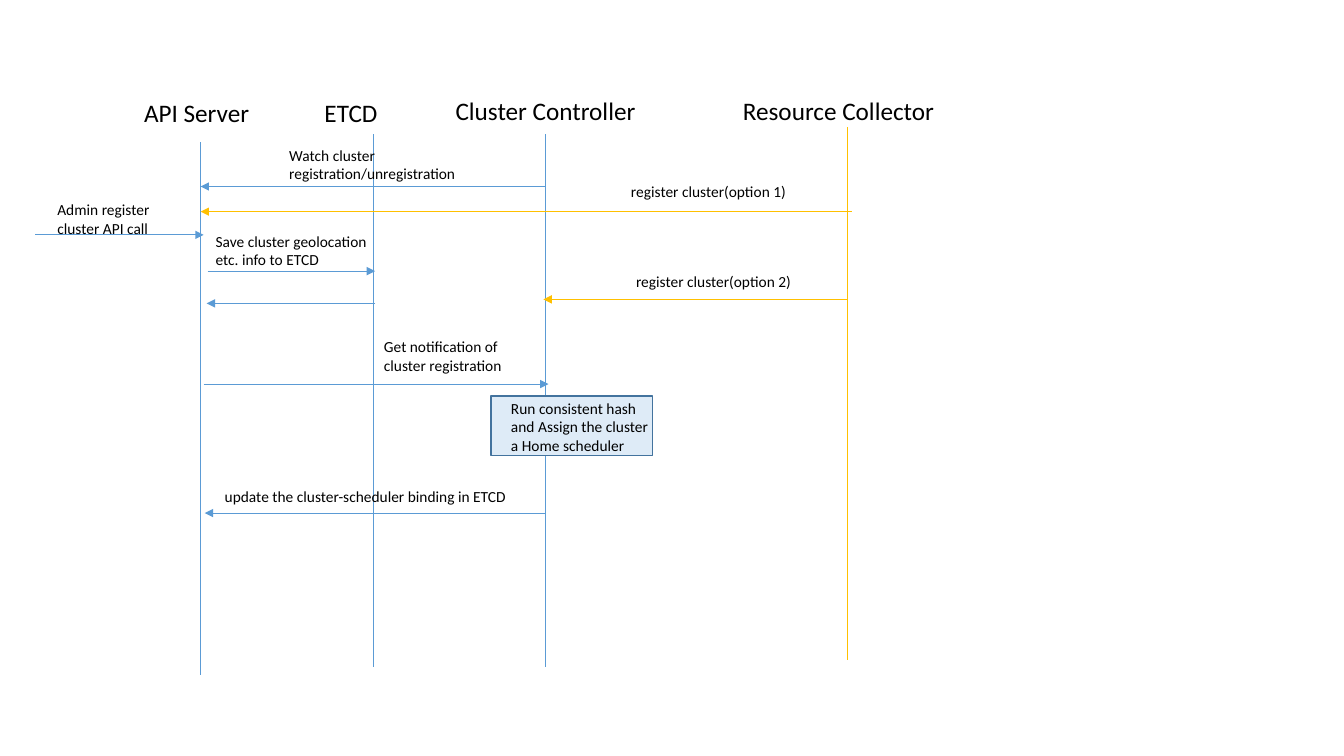
"""Build the cluster registration sequence diagram slide."""
from lxml import etree
from pptx import Presentation
from pptx.dml.color import RGBColor
from pptx.enum.shapes import MSO_CONNECTOR, MSO_SHAPE
from pptx.enum.text import MSO_AUTO_SIZE
from pptx.oxml.ns import qn
from pptx.util import Pt

STRAIGHT = MSO_CONNECTOR.STRAIGHT
RECTANGLE = MSO_SHAPE.RECTANGLE
FIT_SHAPE = MSO_AUTO_SIZE.SHAPE_TO_FIT_TEXT

BLUE = RGBColor(0x5B, 0x9B, 0xD5)
GOLD = RGBColor(0xFF, 0xC0, 0x00)
PALE_BLUE = RGBColor(0xDE, 0xEB, 0xF7)
DARK_BLUE = RGBColor(0x43, 0x73, 0x9E)
BLACK = RGBColor(0, 0, 0)

FONT = "Calibri"
EMU_PER_PX = 9144
PAGE_SIZE = (1333, 750)
LIFELINE_LENGTH = 529
TITLE_SIZE, LABEL_SIZE = 18, 11
TITLE_HEIGHT = 40
LABEL_HEIGHTS = {1: 29, 2: 47, 3: 66}

# name, title left, title top, title width, lifeline x, lifeline top, colour
PARTICIPANTS = [
    ("API Server", 133, 92, 155, 199, 141, BLUE),
    ("ETCD", 312, 92, 77, 370, 133, BLUE),
    ("Cluster Controller", 442, 90, 224, 541, 133, BLUE),
    ("Resource Collector", 727, 90, 224, 840, 126, GOLD),
]

# start x, end x, y, colour
MESSAGES = [
    (541, 199, 185, BLUE),
    (845, 199, 210, GOLD),
    (35, 202, 233, BLUE),
    (206, 372, 269, BLUE),
    (840, 539, 297, GOLD),
    (372, 205, 301, BLUE),
    (202, 544, 381, BLUE),
    (541, 203, 509, BLUE),
]

ACTION_BOX = (487, 393, 160, 59)

# text, left, top, width, line count, wraps
LABELS = [
    ("Watch cluster registration/unregistration", 277, 140, 262, 2, True),
    ("register cluster(option 1)", 616, 176, 182, 1, True),
    ("Admin register cluster API call", 47, 194, 142, 2, True),
    ("Save cluster geolocation etc. info to ETCD", 204, 225, 177, 2, True),
    ("register cluster(option 2)", 621, 265, 185, 1, True),
    ("Get notification of cluster registration", 371, 330, 164, 2, True),
    ("Run consistent hash and Assign the cluster a Home scheduler",
     497, 391, 160, 3, True),
    ("update the cluster-scheduler binding in ETCD", 213, 478, 302, 1, False),
]


def px(*lengths):
    return [length * EMU_PER_PX for length in lengths]


def add_text(page, text, bounds, size, wraps=True):
    box = page.shapes.add_textbox(*px(*bounds))
    frame = box.text_frame
    frame.word_wrap = wraps
    frame.auto_size = FIT_SHAPE
    para = frame.paragraphs[0]
    para.text = text
    para.font.name = FONT
    para.font.size = Pt(size)
    para.font.color.rgb = BLACK


def add_line(page, start, end, color, arrow=False):
    line = page.shapes.add_connector(STRAIGHT, *px(*start, *end))
    line.line.color.rgb = color
    line.line.width = Pt(0.5)
    if arrow:
        outline = line.line._get_or_add_ln()
        etree.SubElement(outline, qn("a:tailEnd"), type="triangle")
    etree.SubElement(line._element.spPr, qn("a:effectLst"))


def add_action_box(page):
    box = page.shapes.add_shape(RECTANGLE, *px(*ACTION_BOX))
    box.shadow.inherit = False
    box.fill.solid()
    box.fill.fore_color.rgb = PALE_BLUE
    box.line.color.rgb = DARK_BLUE
    box.line.width = Pt(1)


def main():
    deck = Presentation()
    deck.slide_width, deck.slide_height = px(*PAGE_SIZE)
    page = deck.slides.add_slide(deck.slide_layouts[6])

    for name, left, top, width, x, line_top, color in PARTICIPANTS:
        add_text(page, name, (left, top, width, TITLE_HEIGHT), TITLE_SIZE)
        add_line(page, (x, line_top), (x, line_top + LIFELINE_LENGTH), color)
    for start, end, y, color in MESSAGES:
        add_line(page, (start, y), (end, y), color, arrow=True)
    add_action_box(page)
    for text, left, top, width, lines, wraps in LABELS:
        bounds = (left, top, width, LABEL_HEIGHTS[lines])
        add_text(page, text, bounds, LABEL_SIZE, wraps)

    deck.save("out.pptx")


if __name__ == "__main__":
    main()
